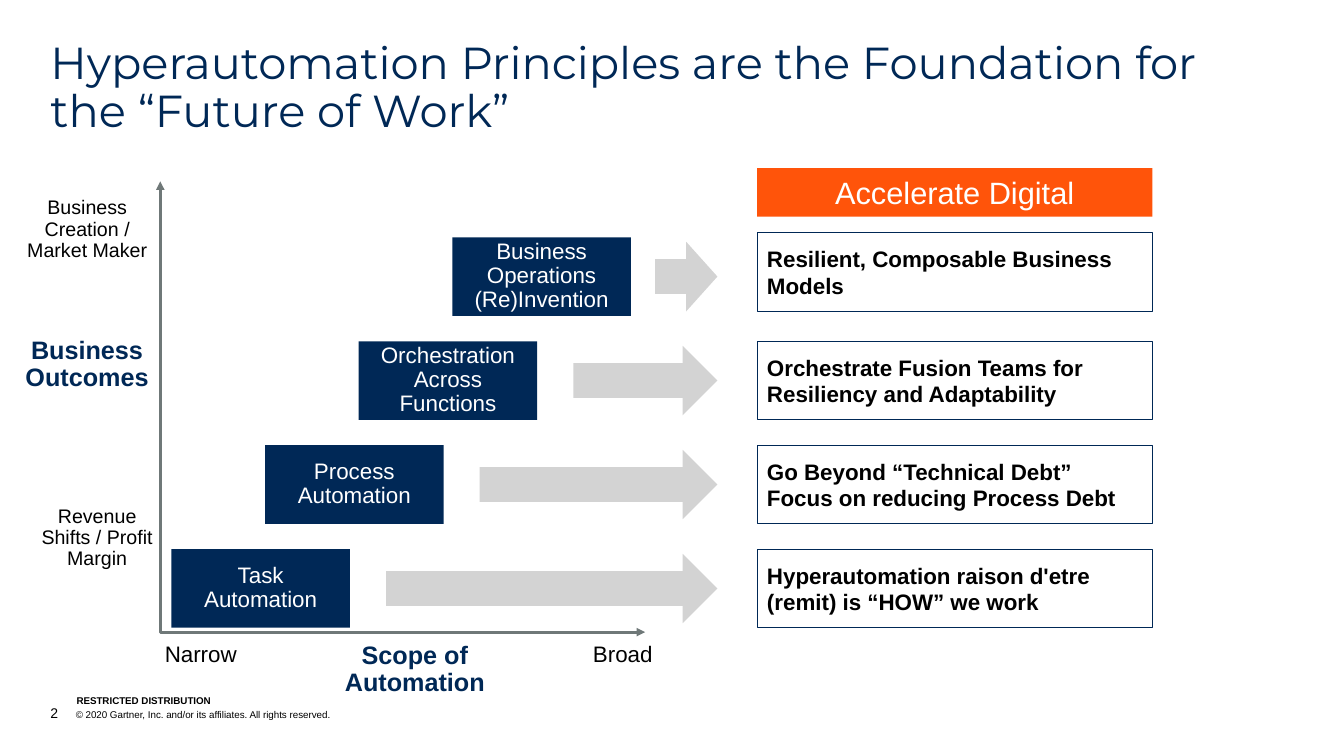
from pptx import Presentation
from pptx.dml.color import RGBColor
from pptx.enum.shapes import MSO_SHAPE
from pptx.enum.text import MSO_ANCHOR, MSO_AUTO_SIZE, PP_ALIGN
from pptx.oxml import parse_xml
from pptx.oxml.ns import nsdecls
from pptx.util import Cm, Pt

TITLE = "Hyperautomation Principles are the Foundation for the “Future of Work”"
BANNER = "Accelerate Digital"
RESTRICTION = "RESTRICTED DISTRIBUTION"
COPYRIGHT = "© 2020 Gartner, Inc. and/or its affiliates. All rights reserved."

# Bottom to top: step, outcome, gap before arrow (cm), outcome lift (cm)
STEPS = [
    ("Task\nAutomation", "Hyperautomation raison d'etre (remit) is “HOW” we work", 0.91, 0),
    ("Process\nAutomation", "Go Beyond “Technical Debt”\nFocus on reducing Process Debt", 0.91, 0),
    ("Orchestration\nAcross\nFunctions", "Orchestrate Fusion Teams for Resiliency and Adaptability", 0.91, 0),
    ("Business\nOperations\n(Re)Invention", "Resilient, Composable Business Models", 0.61, 0.11),
]

# Text, box (left, top, width, height in cm), style
AXIS_LABELS = [
    ("Business Creation / Market Maker", (0.08, 4.85, 4.24, 1.88), "level"),
    ("Business Outcomes", (0.33, 8.36, 3.73, 1.65), "axis"),
    ("Revenue Shifts / Profit Margin", (0.71, 12.62, 3.48, 1.88), "level"),
    ("Narrow", (3.89, 16.08, 2.34, 0.86), "range"),
    ("Scope of Automation", (7.57, 16.05, 5.77, 1.65), "axis"),
    ("Broad", (14.68, 16.08, 2.03, 0.86), "range"),
]

NAVY, BLACK, WHITE = "002856", "000000", "FFFFFF"
THEME = {
    "navy": NAVY, "orange": "FF540A", "arrow": "D3D3D3", "axis_line": "6F7878",
    "text": {
        "title": dict(name="Montserrat", size=Pt(32), color=NAVY),
        "banner": dict(name="Arial", size=Pt(22), color=WHITE),
        "step": dict(name="Arial", size=Pt(16), color=WHITE),
        "outcome": dict(name="Arial", size=Pt(16), color=BLACK, bold=True),
        "axis": dict(name="Arial", size=Pt(18), color=NAVY, bold=True),
        "level": dict(name="Arial", size=Pt(14), color=BLACK),
        "range": dict(name="Arial", size=Pt(16), color=BLACK),
        "restriction": dict(name="Arial", size=Pt(7), color=BLACK, bold=True),
        "copyright": dict(name="Arial", size=Pt(7), color=BLACK),
    },
}

STEP_W, STEP_H = 4.5, 1.98
STEP_X, STEP_Y = 4.32, 13.84
STEP_DX, STEP_DY = 2.36, -2.62
ARROW_END, ARROW_H = 18.08, 1.75
OUTCOME_X, OUTCOME_W = 19.08, 9.96
AXIS_POINTS = [(4.04, 4.57), (4.04, 15.93), (16.26, 15.93)]


def write(sp, text, style, align=PP_ALIGN.CENTER, spacing=0.9,
          anchor=MSO_ANCHOR.MIDDLE, inset=True):
    tf = sp.text_frame
    tf.word_wrap = True
    tf.auto_size = MSO_AUTO_SIZE.NONE
    tf.vertical_anchor = anchor
    if not inset:
        for side in ("left", "top", "right", "bottom"):
            setattr(tf, f"margin_{side}", 0)
    tf.text = text
    for p in tf.paragraphs:
        p.alignment = align
        p.line_spacing = spacing
        for r in p.runs:
            for key, value in THEME["text"][style].items():
                if key == "color":
                    r.font.color.rgb = RGBColor.from_string(value)
                else:
                    setattr(r.font, key, value)
    return tf


def add_text(shapes, box, text, style, **layout):
    return write(shapes.add_textbox(*map(Cm, box)), text, style, **layout)


def paint(sp, fill=None, line=None, width=0.75):
    sp.shadow.inherit = False
    for part, color in ((sp.fill, fill), (sp.line.fill, line)):
        if color:
            part.solid()
            part.fore_color.rgb = RGBColor.from_string(color)
        else:
            part.background()
    if line:
        sp.line.width = Pt(width)


def add_block(shapes, kind, box, **colors):
    sp = shapes.add_shape(kind, *map(Cm, box))
    paint(sp, **colors)
    return sp


def add_axes(shapes):
    start, *rest = [(Cm(x), Cm(y)) for x, y in AXIS_POINTS]
    builder = shapes.build_freeform(*start)
    builder.add_line_segments(rest, close=False)
    sp = builder.convert_to_shape()
    paint(sp, line=THEME["axis_line"], width=2)
    for end in ("headEnd", "tailEnd"):
        sp.line.fill  # line element exists once painted
        sp.element.spPr.ln.append(
            parse_xml(f'<a:{end} {nsdecls("a")} type="triangle"/>'))


def add_steps(shapes):
    for i, (step, outcome, gap, lift) in enumerate(STEPS):
        x, y = STEP_X + i * STEP_DX, STEP_Y + i * STEP_DY
        sp = add_block(shapes, MSO_SHAPE.RECTANGLE, (x, y, STEP_W, STEP_H), fill=THEME["navy"])
        write(sp, step, "step")

        left = x + STEP_W + gap
        top = y + (STEP_H - ARROW_H) / 2
        add_block(shapes, MSO_SHAPE.RIGHT_ARROW,
                  (left, top, ARROW_END - left, ARROW_H), fill=THEME["arrow"])

        sp = add_block(shapes, MSO_SHAPE.RECTANGLE,
                       (OUTCOME_X, y - lift, OUTCOME_W, STEP_H), line=THEME["navy"])
        write(sp, outcome, "outcome", align=PP_ALIGN.LEFT, spacing=1.0)


def add_footer(shapes):
    """Add the restriction line, then the slide number and copyright on a hanging indent."""
    layout = dict(align=PP_ALIGN.LEFT, anchor=MSO_ANCHOR.BOTTOM, inset=False)
    add_text(shapes, (1.93, 17.53, 6.43, 0.28), RESTRICTION, "restriction", **layout)
    tf = add_text(shapes, (1.27, 17.75, 20.29, 0.43), "\t" + COPYRIGHT, "copyright",
                  spacing=1.0, **layout)
    p = tf.paragraphs[0]
    pPr = p._p.get_or_add_pPr()
    pPr.set("marL", str(Cm(0.64)))
    pPr.set("indent", str(-Cm(0.64)))
    p.runs[0]._r.addprevious(parse_xml(
        f'<a:fld {nsdecls("a")} id="{{B6F15528-21DE-4FAA-801E-634DDDAF4B2B}}" type="slidenum">'
        '<a:rPr lang="en-US" sz="1000"><a:latin typeface="Arial"/></a:rPr>'
        '<a:t>2</a:t></a:fld>'))


def main():
    prs = Presentation()
    prs.slide_width, prs.slide_height = Cm(33.87), Cm(19.05)
    prs.element.set("firstSlideNum", "2")
    slide = prs.slides.add_slide(prs.slide_layouts[5])
    shapes = slide.shapes

    title = shapes.title
    title.left, title.top, title.width, title.height = map(Cm, (1.27, 1.02, 29.46, 1.24))
    write(title, TITLE, "title", align=PP_ALIGN.LEFT, anchor=MSO_ANCHOR.TOP, inset=False)

    add_footer(shapes)
    for text, box, style in AXIS_LABELS:
        add_text(shapes, box, text, style)
    add_axes(shapes)
    banner = add_block(shapes, MSO_SHAPE.RECTANGLE, (OUTCOME_X, 4.24, OUTCOME_W, 1.22),
                       fill=THEME["orange"])
    write(banner, BANNER, "banner", spacing=1.0)
    add_steps(shapes)
    prs.save("out.pptx")


if __name__ == "__main__":
    main()
